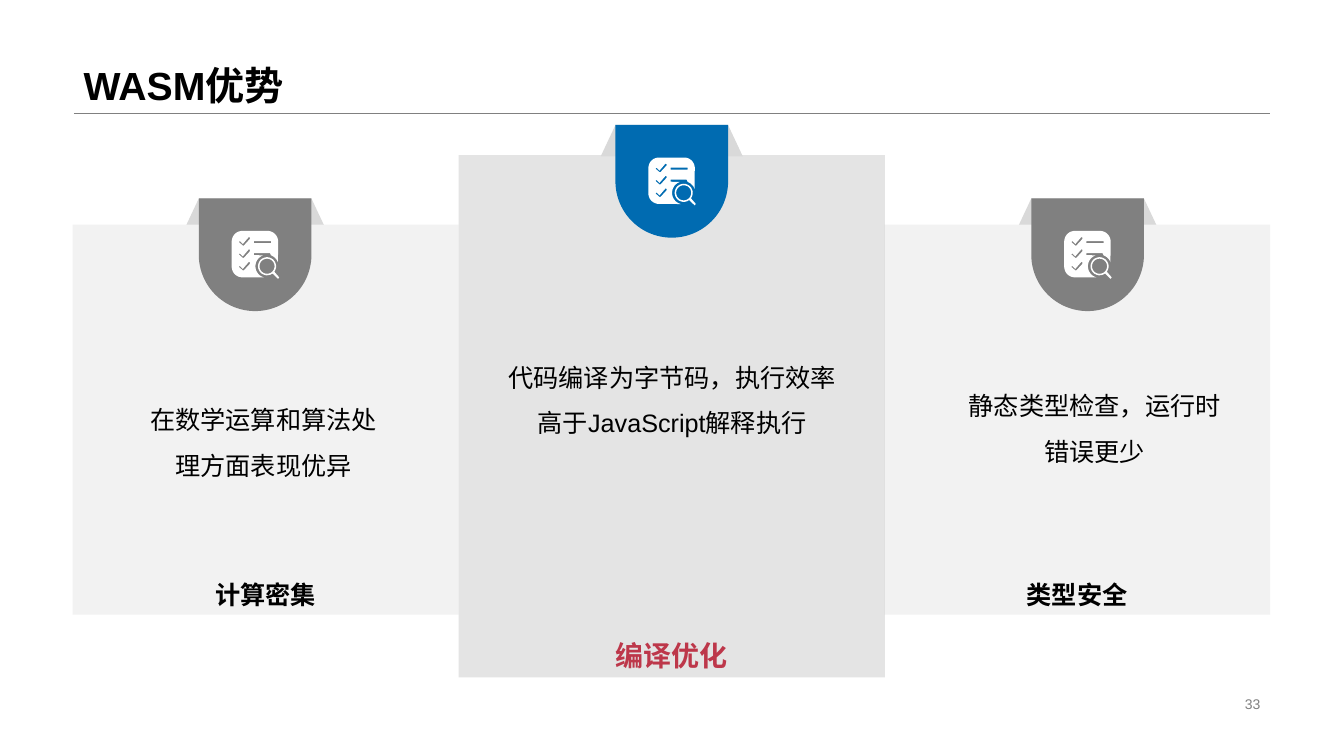
from math import cos, radians, sin

from lxml import etree
from pptx import Presentation
from pptx.dml.color import RGBColor
from pptx.enum.shapes import MSO_CONNECTOR, MSO_SHAPE as SHAPE
from pptx.enum.text import MSO_ANCHOR as ANCHOR, PP_ALIGN as ALIGN
from pptx.oxml.ns import qn
from pptx.util import Cm, Pt

TITLE = "WASM优势"
PAGE = "33"
# Boxes are left, top, width, height in cm.
CARDS = [
    dict(label="计算密集", size=18, ink="000000", fill="F2F2F2", alpha=100,
         box=(1.83, 5.66, 9.73, 9.83), tab="808080", tab_mid=6.43, tab_top=5,
         text="在数学运算和算法处理方面表现优异", text_box=(3.35, 8.15, 6.58, 5.61)),
    dict(label="类型安全", size=18, ink="000000", fill="F2F2F2", alpha=100,
         box=(22.28, 5.66, 9.73, 9.83), tab="808080", tab_mid=27.41, tab_top=5,
         text="静态类型检查，运行时错误更少", text_box=(23.93, 7.8, 7.32, 5.61)),
    dict(label="编译优化", size=20, ink="BD374A", fill="D9D9D9", alpha=70,
         box=(11.56, 3.91, 10.74, 13.16), tab="006BB1", tab_mid=16.93, tab_top=3.15,
         text="代码编译为字节码，执行效率高于JavaScript解释执行",
         text_box=(12.37, 7.09, 9.14, 5.61)),
]
TAB, FOLD_W, FOLD_H = 2.84, 3.58, 0.79
ICON, ICON_UNITS = 1.17, 460
ICON_DX, ICON_DY = 0.83, 0.82

CHECK = [(180, 65), (170, 60), (110, 130), (80, 100), (70, 110), (110, 145),
         (120, 145), (180, 80)]
CHECK_TOPS = (0, 122, 246)
BAR = [(220, 100), (390, 100), (390, 120), (220, 120)]
NOTCH = [(380, 220), (220, 220), (220, 240)]
HANDLE = [(470, 460), (460, 475)]
LENS = (350, 350)


def color(value):
    return RGBColor.from_string(value)


def arc(center, radius, start, end, steps=24):
    """Points along an arc; degrees run clockwise from the right."""
    angles = [radians(start + (end - start) * i / steps) for i in range(steps + 1)]
    return [(center[0] + radius * cos(a), center[1] + radius * sin(a)) for a in angles]


def icon_contours():
    """Checklist page with cut-out marks, and a magnifier over its corner."""
    n, r = ICON_UNITS, 105
    page = (arc((r, r), r, 180, 270) + arc((n - r, r), r, 270, 360)
            + arc(LENS, 115, -20, -70) + NOTCH + arc(LENS, 115, -110, -255)
            + arc((r, n - r), r, 90, 180))
    checks = [[(x, y + top) for x, y in CHECK] for top in CHECK_TOPS]
    ring = [arc(LENS, 90, 53, 397) + HANDLE, arc(LENS, 75, 0, 360)]
    return [page, *checks, BAR, *ring]


def paint(shape, fill, alpha=100):
    shape.shadow.inherit = False
    shape.fill.solid()
    shape.fill.fore_color.rgb = color(fill)
    shape.line.fill.background()
    if alpha < 100:
        clr = shape._element.spPr.find(qn("a:solidFill"))[0]
        etree.SubElement(clr, qn("a:alpha")).set("val", str(alpha * 1000))


def add_shape(s, kind, box, fill, adjust=(), alpha=100):
    sp = s.shapes.add_shape(kind, *map(Cm, box))
    for i, value in enumerate(adjust):
        sp.adjustments[i] = value
    paint(sp, fill, alpha)
    return sp


def write(sp, text, size, ink="000000", bold=False, align=ALIGN.CENTER,
          anchor=ANCHOR.MIDDLE, spacing=1.0):
    tf = sp.text_frame
    tf.word_wrap = True
    tf.vertical_anchor = anchor
    p = tf.paragraphs[0]
    p.alignment = align
    p.line_spacing = spacing
    r = p.add_run()
    r.text = text
    r.font.name = "Arial"
    r.font.size = Pt(size)
    r.font.bold = bold
    r.font.color.rgb = color(ink)


def add_text(s, box, text, size, **style):
    write(s.shapes.add_textbox(*map(Cm, box)), text, size, **style)


def add_icon(s, left, top):
    first, *others = icon_contours()
    builder = s.shapes.build_freeform(*first[0], scale=Cm(ICON) / ICON_UNITS)
    builder.add_line_segments(first[1:], close=True)
    for contour in others:
        builder.move_to(*contour[0])
        builder.add_line_segments(contour[1:], close=True)
    paint(builder.convert_to_shape(Cm(left), Cm(top)), "FFFFFF")


def add_card(s, card):
    mid, top = card["tab_mid"], card["tab_top"]
    left = mid - TAB / 2
    add_shape(s, SHAPE.TRAPEZOID, (mid - FOLD_W / 2, top, FOLD_W, FOLD_H), "D9D9D9", [0.47])
    panel = add_shape(s, SHAPE.RECTANGLE, card["box"], card["fill"], alpha=card["alpha"])
    write(panel, card["label"], card["size"], card["ink"], bold=True, anchor=ANCHOR.BOTTOM)
    add_shape(s, SHAPE.ROUND_2_SAME_RECTANGLE, (left, top, TAB, TAB), card["tab"], [0, 0.5])
    add_icon(s, left + ICON_DX, top + ICON_DY)
    add_text(s, card["text_box"], card["text"], 18, spacing=1.5)


def add_rule(s):
    rule = s.shapes.add_connector(MSO_CONNECTOR.STRAIGHT, Cm(1.86), Cm(2.86), Cm(32), Cm(2.86))
    rule.line.color.rgb = color("808080")
    rule.line.width = Pt(0.25)
    etree.SubElement(rule._element.spPr, qn("a:effectLst"))


def main():
    prs = Presentation()
    prs.slide_width, prs.slide_height = Cm(33.87), Cm(19.05)
    s = prs.slides.add_slide(prs.slide_layouts[6])
    add_rule(s)
    add_text(s, (1.86, 0, 30.15, 2.86), TITLE, 28, bold=True, align=ALIGN.LEFT,
             anchor=ANCHOR.BOTTOM, spacing=0.9)
    add_text(s, (23.93, 17.46, 8.08, 0.58), PAGE, 10, ink="808080", align=ALIGN.RIGHT)
    for card in CARDS:
        add_card(s, card)
    prs.save("out.pptx")


if __name__ == "__main__":
    main()
